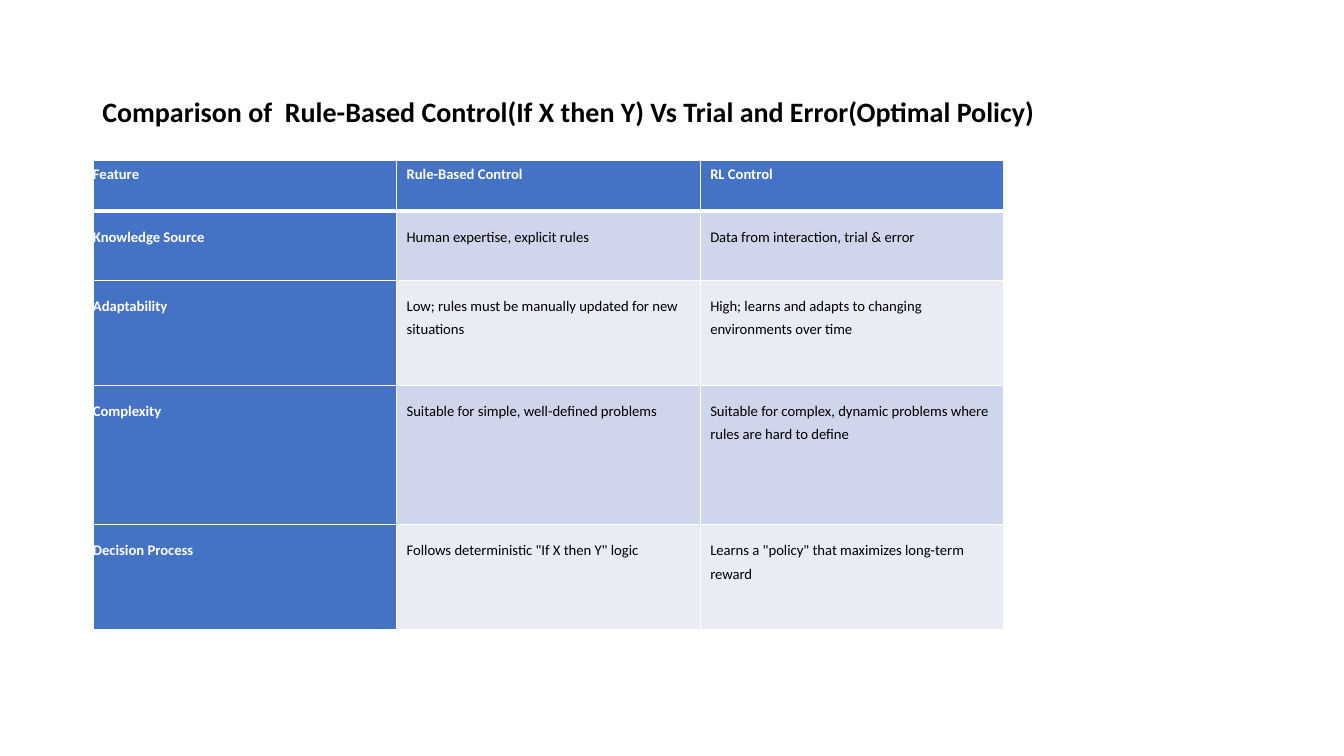
import pptx
import pptx.dml.color
import pptx.enum.text
import pptx.oxml
import pptx.oxml.ns
import pptx.util

Pt = pptx.util.Pt

COLORS = {
    "black": "000000",
    "white": "FFFFFF",
    "blue": "4472C4",
    "band_dark": "CFD5EA",
    "band_light": "E9EBF5",
}
TITLE = "Comparison of  Rule-Based Control(If X then Y) Vs Trial and Error(Optimal Policy)"
ROWS = [
    ("Feature", "Rule-Based Control", "RL Control"),
    ("Knowledge Source", "Human expertise, explicit rules",
     "Data from interaction, trial & error"),
    ("Adaptability", "Low; rules must be manually updated for new situations",
     "High; learns and adapts to changing environments over time"),
    ("Complexity", "Suitable for simple, well-defined problems",
     "Suitable for complex, dynamic problems where rules are hard to define"),
    ("Decision Process", 'Follows deterministic "If X then Y" logic',
     'Learns a "policy" that maximizes long-term reward'),
]
ROW_HEIGHTS = [36, 49.5, 75, 99.5, 75]
COL_WIDTH = 216.9
SIDE_PAD, ROW_PAD = 7.2, 8.64


def rgb(name):
    return pptx.dml.color.RGBColor.from_string(COLORS[name])


def set_attrs(obj, values):
    for name, value in values.items():
        setattr(obj, name, value)


def write(tf, text, size, color, bold, spacing):
    p = tf.paragraphs[0]
    p.line_spacing = spacing
    r = p.add_run()
    r.text = text
    set_attrs(r.font, {"name": "Calibri", "size": Pt(size), "bold": bold})
    r.font.color.rgb = rgb(color)


def add_title(slide):
    sp = slide.shapes.add_textbox(Pt(66), Pt(28.75), Pt(828), Pt(104.4))
    set_attrs(sp.text_frame, {
        "word_wrap": True,
        "vertical_anchor": pptx.enum.text.MSO_ANCHOR.MIDDLE,
    })
    write(sp.text_frame, TITLE, 20, "black", True, 0.9)


def add_borders(cell, widths):
    """Draw white cell edges; widths maps the sides L, R, T, B to points."""
    tc_pr = cell._tc.get_or_add_tcPr()
    for side, width in widths.items():
        tc_pr.append(pptx.oxml.parse_xml(
            f'<a:ln{side} {pptx.oxml.ns.nsdecls("a")} w="{Pt(width)}">'
            f'<a:solidFill><a:srgbClr val="{COLORS["white"]}"/></a:solidFill>'
            f'</a:ln{side}>'))


def format_cell(cell, text, row, col):
    heading = row == 0 or col == 0
    set_attrs(cell, {
        "margin_left": Pt(0 if col == 0 else SIDE_PAD),
        "margin_right": Pt(0 if col == 2 else SIDE_PAD),
        "margin_top": Pt(0 if row == 0 else ROW_PAD),
        "margin_bottom": Pt(ROW_PAD),
    })
    add_borders(cell, {"L": 1, "R": 1, "T": 3 if row == 1 else 1,
                       "B": 3 if row == 0 else 1})
    band = "band_dark" if row % 2 else "band_light"
    cell.fill.solid()
    cell.fill.fore_color.rgb = rgb("blue" if heading else band)
    write(cell.text_frame, text, 10.5, "white" if heading else "black",
          heading, Pt(16.5))


def add_comparison_table(slide):
    n_cols = len(ROWS[0])
    table = slide.shapes.add_table(
        len(ROWS), n_cols, Pt(66.4), Pt(114.8),
        Pt(COL_WIDTH * n_cols), Pt(sum(ROW_HEIGHTS))).table
    for column in table.columns:
        column.width = Pt(COL_WIDTH)
    for i, (texts, height) in enumerate(zip(ROWS, ROW_HEIGHTS)):
        table.rows[i].height = Pt(height)
        for j, text in enumerate(texts):
            format_cell(table.cell(i, j), text, i, j)


def main():
    prs = pptx.Presentation()
    set_attrs(prs, {"slide_width": Pt(960), "slide_height": Pt(540)})
    slide = prs.slides.add_slide(prs.slide_layouts[6])
    add_title(slide)
    add_comparison_table(slide)
    prs.save("out.pptx")


if __name__ == "__main__":
    main()
